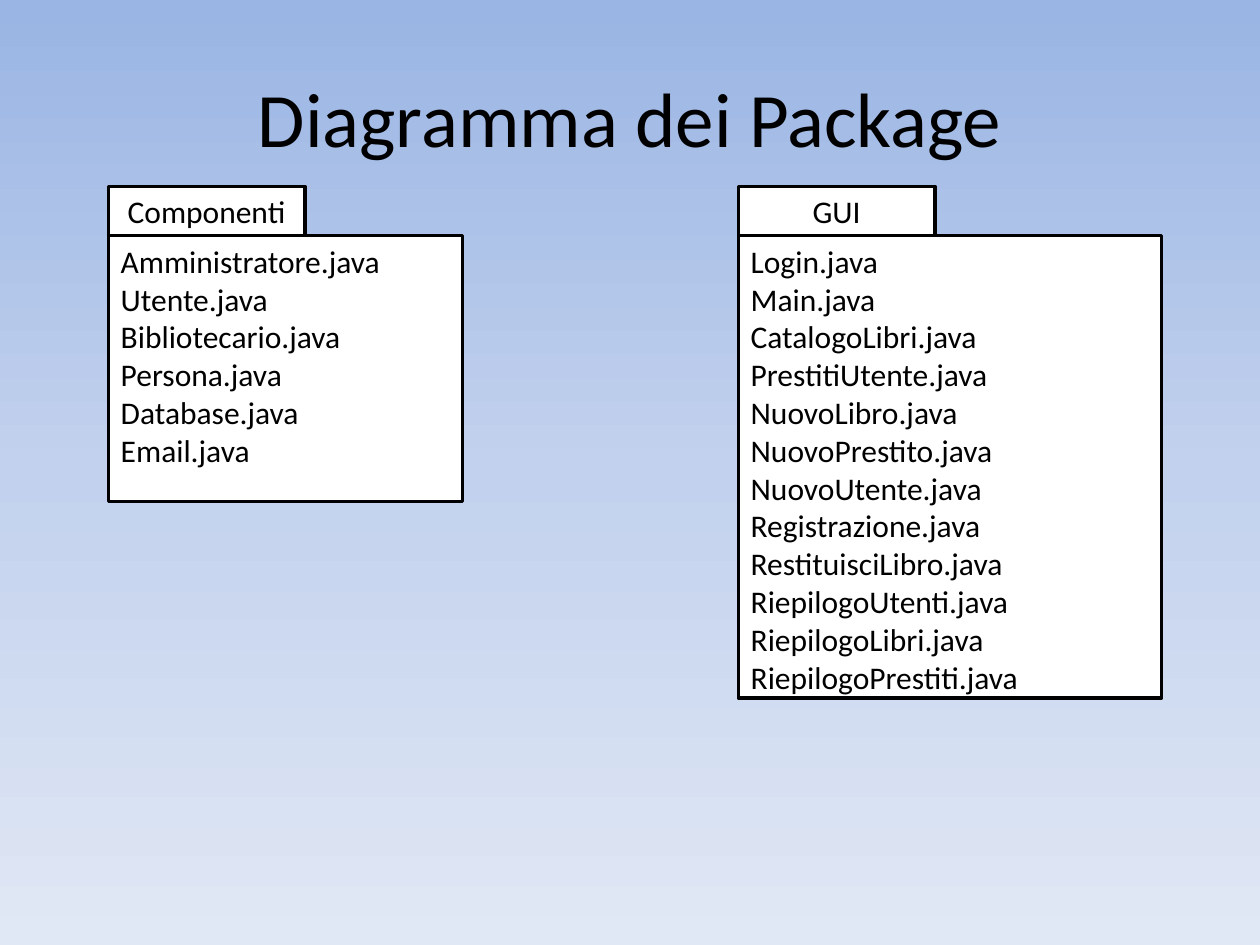
import copy

import pptx
import pptx.dml.color
import pptx.enum.shapes
import pptx.enum.text
import pptx.oxml.ns
import pptx.util

Inches = pptx.util.Inches
ALIGN = pptx.enum.text.PP_ALIGN
ANCHOR = pptx.enum.text.MSO_ANCHOR

TAB_TOP, TAB_WIDTH, TAB_HEIGHT = 1.48, 1.56, 0.39
BLACK, WHITE = "000000", "FFFFFF"
SHADES = [(0, "9AB5E4"), (0.5, "C2D1ED"), (1, "E1E8F5")]
PACKS = [
    ("Componenti", 0.86, 2.81, 2.11, [
        "Amministratore.java", "Utente.java", "Bibliotecario.java",
        "Persona.java", "Database.java", "Email.java"]),
    ("GUI", 5.86, 3.36, 3.67, [
        "Login.java", "Main.java", "CatalogoLibri.java",
        "PrestitiUtente.java", "NuovoLibro.java", "NuovoPrestito.java",
        "NuovoUtente.java", "Registrazione.java", "RestituisciLibro.java",
        "RiepilogoUtenti.java", "RiepilogoLibri.java",
        "RiepilogoPrestiti.java"]),
]


def color(code):
    """Turn a hex string into a colour."""
    return pptx.dml.color.RGBColor.from_string(code)


def write(shape, lines, size=18, align=ALIGN.CENTER, anchor=ANCHOR.MIDDLE):
    """Write one paragraph per line into a shape."""
    frame = shape.text_frame
    frame.word_wrap = True
    frame.vertical_anchor = anchor
    frame.text = "\n".join(lines)
    for para in frame.paragraphs:
        para.alignment = align
        font = para.runs[0].font
        font.name = "Calibri"
        font.size = pptx.util.Pt(size)
        font.color.rgb = color(BLACK)


def box(slide, left, top, width, height):
    """Add a white rectangle with a black outline."""
    shape = slide.shapes.add_shape(
        pptx.enum.shapes.MSO_SHAPE.RECTANGLE,
        Inches(left), Inches(top), Inches(width), Inches(height))
    shape.shadow.inherit = False
    shape.fill.solid()
    shape.fill.fore_color.rgb = color(WHITE)
    shape.line.color.rgb = color(BLACK)
    shape.line.width = pptx.util.Pt(2)
    return shape


def pack(slide, name, left, width, height, files):
    """Draw a package: its list of files and its name tab."""
    body = box(slide, left, TAB_TOP + TAB_HEIGHT, width, height)
    write(body, files, align=ALIGN.LEFT, anchor=ANCHOR.TOP)
    tab = box(slide, left, TAB_TOP, TAB_WIDTH, TAB_HEIGHT)
    write(tab, [name])


def shade(slide):
    """Fill the background with a gradient from top to bottom."""
    fill = slide.background.fill
    fill.gradient()
    fill.gradient_angle = 270
    stops = slide.element.find(".//" + pptx.oxml.ns.qn("a:gsLst"))
    stops.insert(1, copy.deepcopy(stops[0]))
    for stop, (place, code) in zip(fill.gradient_stops, SHADES):
        stop.position = place
        stop.color.rgb = color(code)


def main():
    """Build and save the slide."""
    deck = pptx.Presentation()
    deck.slide_width, deck.slide_height = Inches(10), Inches(7.5)
    slide = deck.slides.add_slide(deck.slide_layouts[6])
    shade(slide)
    title = slide.shapes.add_textbox(
        Inches(0.5), Inches(0.3), Inches(9), Inches(1.25))
    write(title, ["Diagramma dei Package"], size=44)
    for item in PACKS:
        pack(slide, *item)
    deck.save("out.pptx")


if __name__ == "__main__":
    main()
